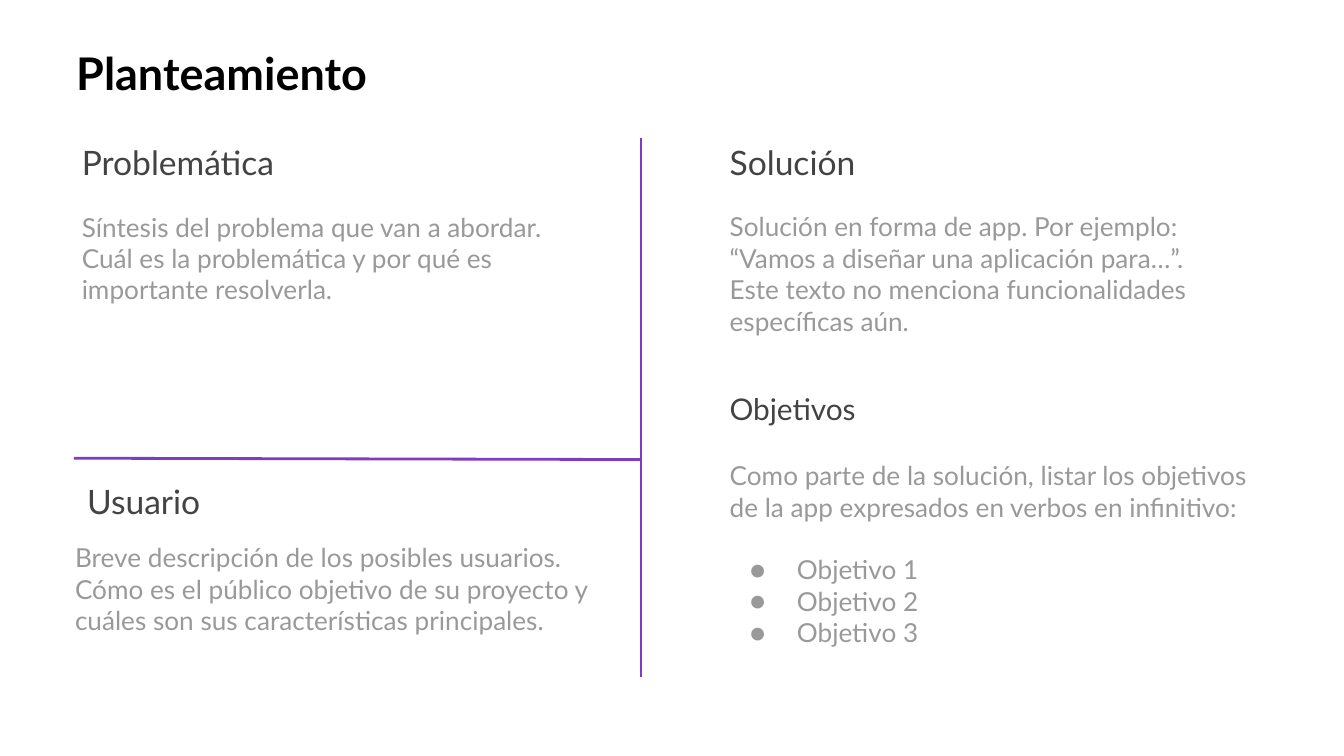
"""Build the "Planteamiento" slide: problem, user, solution and objectives."""
from lxml import etree
from pptx import Presentation
from pptx import util as u
from pptx.dml.color import RGBColor
from pptx.enum import shapes, text
from pptx.oxml.ns import qn

FONT = "Lato"
COLORS = {"title": "000000", "heading": "434343", "body": "999999", "rule": "813BC0"}
INSET = 7.2
LINE_HEIGHT = 16.8
RIGHT = 383.8

TITLE = ("Planteamiento", 33.8, 22.3, 628.6, 38.9)
HEADINGS = [
    ("Problemática", 36.7, 69.1, 157.7, 36, 18),
    ("Solución", RIGHT, 69.1, 97.2, 36, 18),
    ("Objetivos", RIGHT, 202.3, 108, 33.8, 16),
    ("Usuario", 39.6, 250.6, 157.7, 36, 18),
]
BODIES = [
    ("Síntesis del problema que van a abordar. Cuál es la problemática y por qué es "
     "importante resolverla.", 36.7, 105.8, 287.3, 65.5),
    ("Solución en forma de app. Por ejemplo: “Vamos a diseñar una aplicación para…”. \v"
     "Este texto no menciona funcionalidades específicas aún.", RIGHT, 105.8, 287.3, 82.1),
    ("Breve descripción de los posibles usuarios. Cómo es el público objetivo de su "
     "proyecto y cuáles son sus características principales.", 33.1, 283, 294.5, 65.5),
]
GOALS = ("Como parte de la solución, listar los objetivos de la app expresados en verbos "
         "en infinitivo:", RIGHT, 239, 294.5, 116.6)
GOAL_ITEMS = ["Objetivo 1", "Objetivo 2", "Objetivo 3"]
RULES = [(343.4, 362.9, 343.4, 74.2), (39.6, 245.5, 343.4, 246.2)]


def style(p, size, color, bold=False):
    for r in p.runs:
        f = r.font
        f.name, f.size, f.bold = FONT, u.Pt(size), bold
        f.color.rgb = RGBColor.from_string(COLORS[color])


def add_text(s, words, x, y, w, h, size, color, bold=False):
    tf = s.shapes.add_textbox(*map(u.Pt, (x, y, w, h))).text_frame
    tf.word_wrap = True
    tf.margin_left = tf.margin_right = tf.margin_top = tf.margin_bottom = u.Pt(INSET)
    tf.text = words
    style(tf.paragraphs[0], size, color, bold)
    return tf


def add_bullet(tf, words, size, color):
    p = tf.add_paragraph()
    p.text = words
    style(p, size, color)
    pPr = p._p.get_or_add_pPr()
    pPr.set("marL", str(u.Pt(36)))
    pPr.set("indent", str(u.Pt(-25.2)))
    clr = etree.SubElement(pPr, qn("a:buClr"))
    etree.SubElement(clr, qn("a:srgbClr"), val=COLORS[color])
    etree.SubElement(pPr, qn("a:buFont"), typeface=FONT)
    etree.SubElement(pPr, qn("a:buChar"), char="●")
    return p


def add_rule(s, ends):
    c = s.shapes.add_connector(shapes.MSO_CONNECTOR.STRAIGHT, *map(u.Pt, ends))
    c.line.color.rgb = RGBColor.from_string(COLORS["rule"])
    c.line.width = u.Pt(1.5)
    etree.SubElement(c._element.spPr, qn("a:effectLst"))


def main():
    prs = Presentation()
    prs.slide_width, prs.slide_height = u.Pt(720), u.Pt(405)
    s = prs.slides.add_slide(prs.slide_layouts[6])

    for ends in RULES:
        add_rule(s, ends)

    tf = add_text(s, *TITLE, 24.1, "title", bold=True)
    tf.vertical_anchor = text.MSO_ANCHOR.MIDDLE
    tf.paragraphs[0].line_spacing = 0.8

    for *place, size in HEADINGS:
        add_text(s, *place, size, "heading")
    for place in BODIES:
        add_text(s, *place, 14, "body")

    tf = add_text(s, *GOALS, 14, "body")
    bullets = [add_bullet(tf, item, 14, "body") for item in GOAL_ITEMS]
    bullets[0].space_before = u.Pt(LINE_HEIGHT)

    prs.save("out.pptx")


if __name__ == "__main__":
    main()
